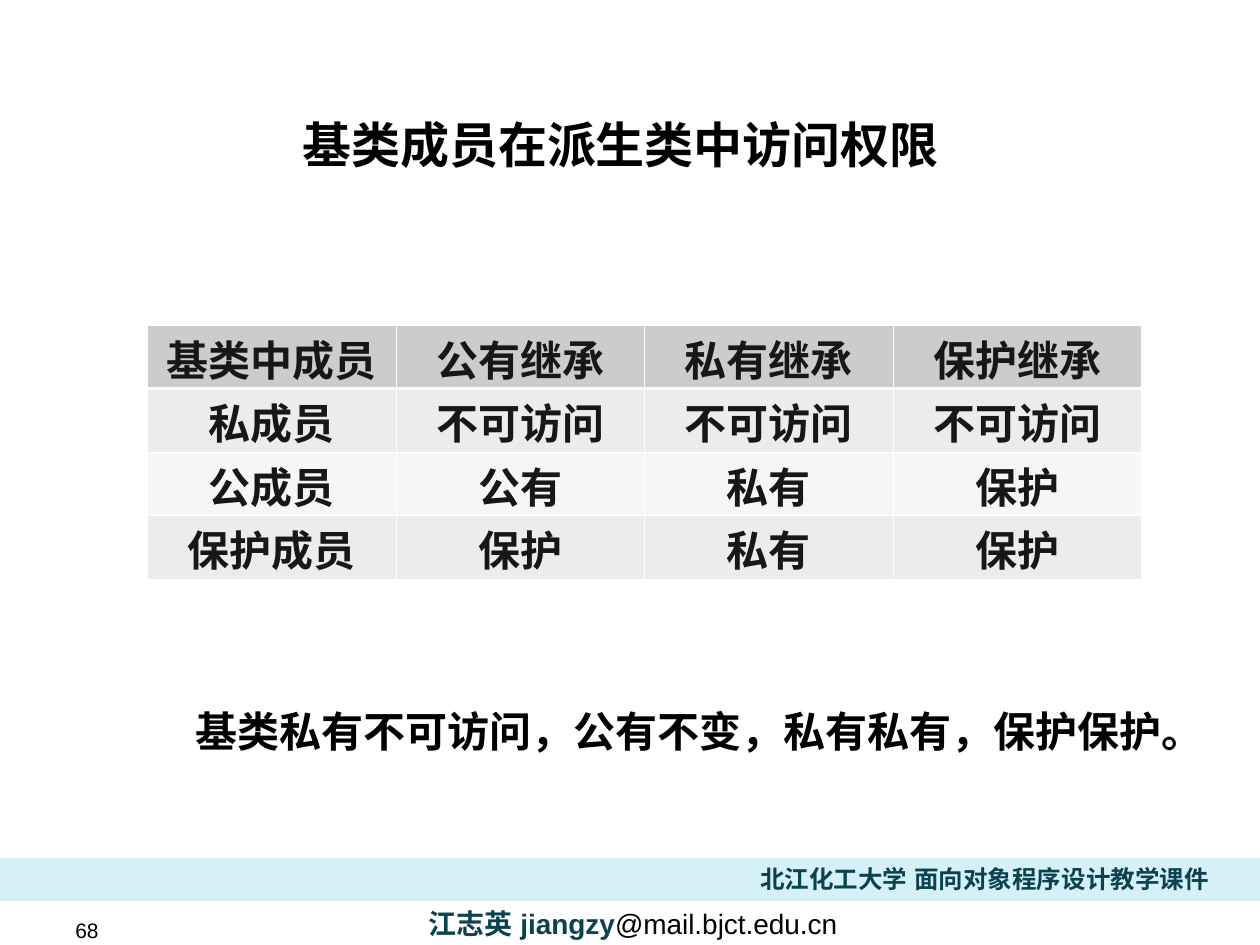
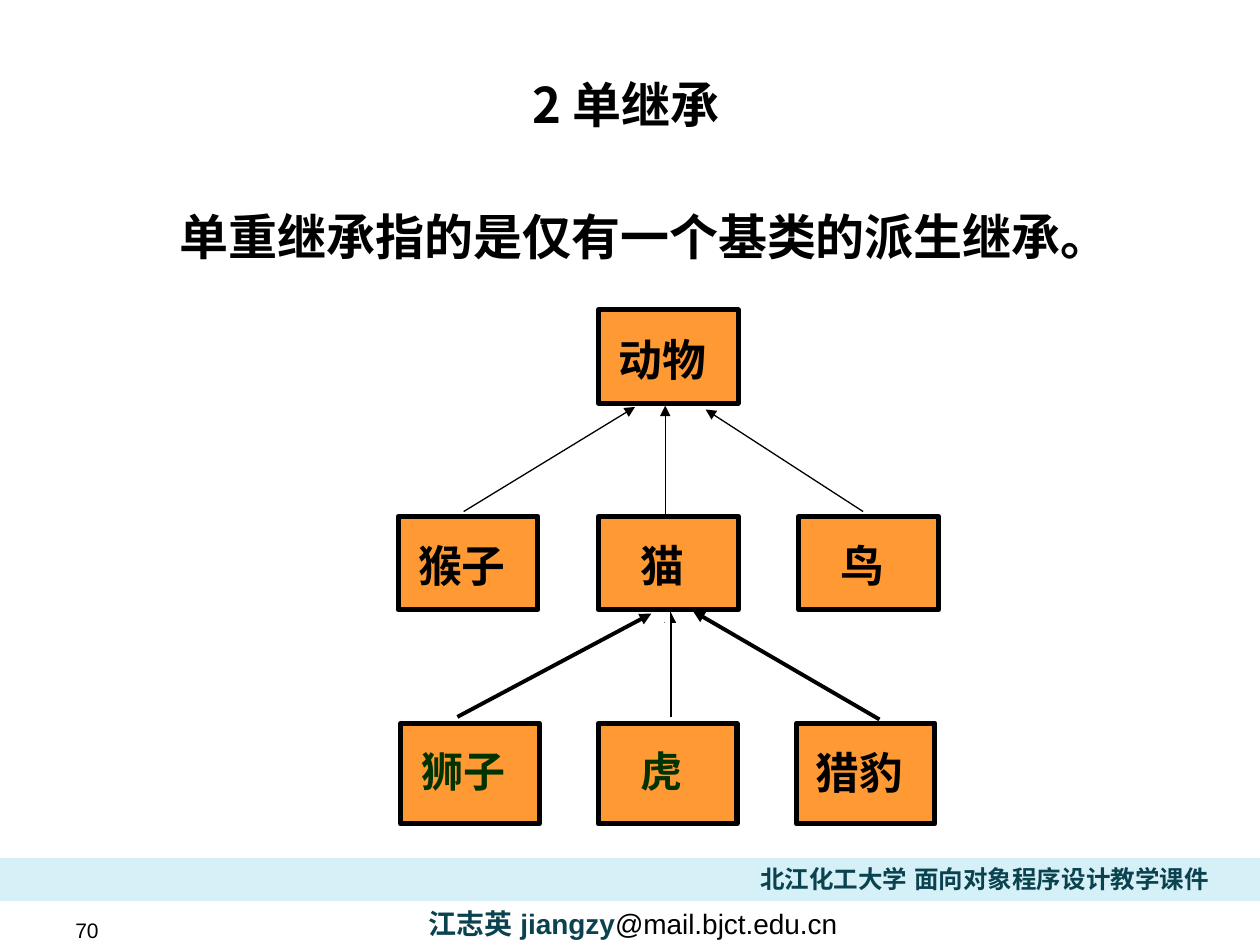
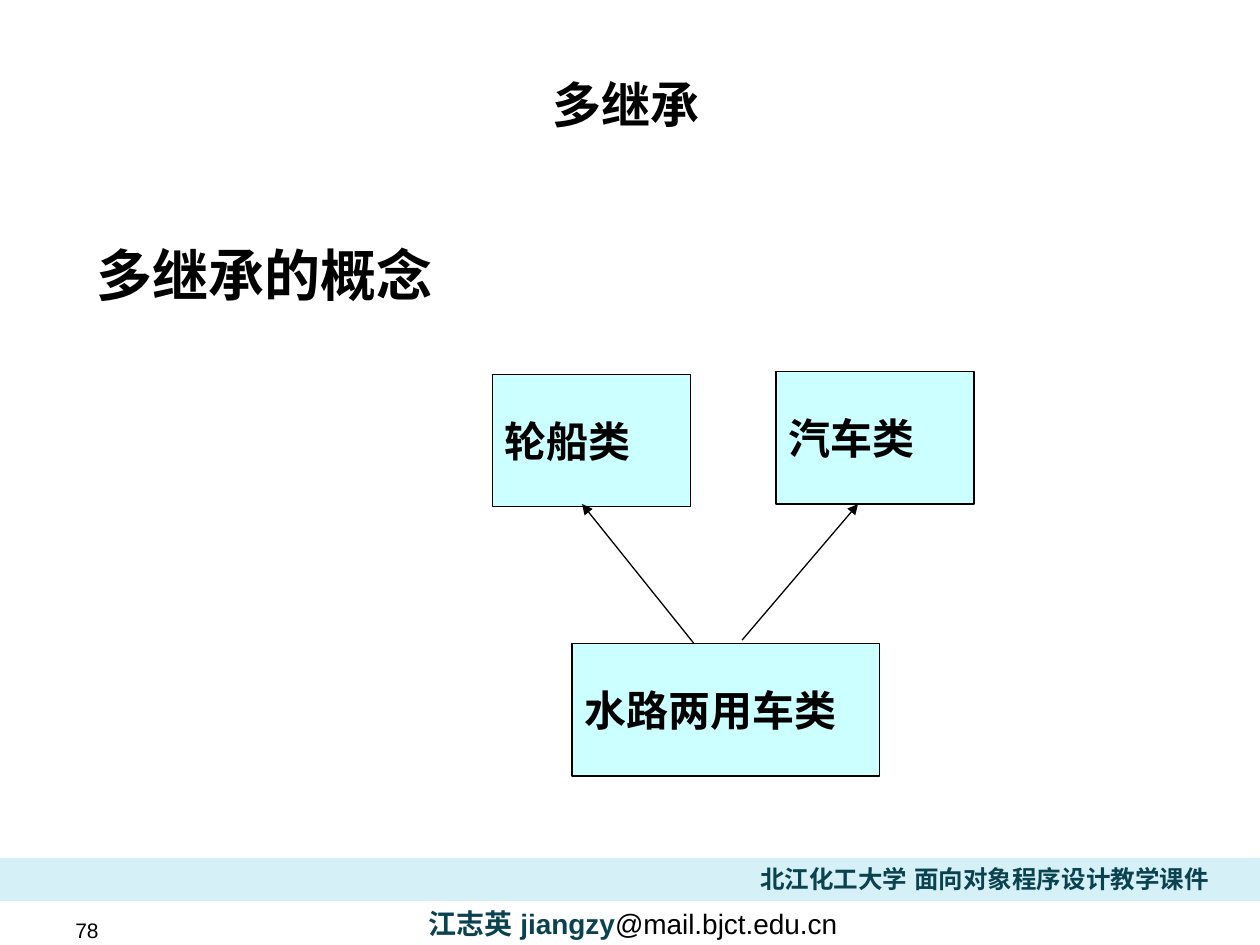
from dataclasses import dataclass

from lxml.etree import SubElement
from pptx import Presentation
from pptx.dml.color import RGBColor
from pptx.enum.shapes import MSO_CONNECTOR, MSO_SHAPE
from pptx.enum.text import MSO_ANCHOR, MSO_AUTO_SIZE, PP_ALIGN
from pptx.oxml.ns import qn
from pptx.util import Inches, Pt

COLORS = {
    "black": "000000", "white": "FFFFFF", "teal": "0A424F",
    "band": "D5F0F7", "orange": "FF9933", "green": "003300",
    "cyan": "CCFFFF", "ink": "171717",
    "head": "CCCCCC", "odd": "ECECEC", "even": "F6F6F6",
}
HAN = "Noto Sans CJK SC"
LATIN = "Arial"


@dataclass(frozen=True)
class Box:
    left: float
    top: float
    width: float
    height: float

    def lengths(self) -> list:
        return [Inches(n) for n in (self.left, self.top, self.width, self.height)]


@dataclass(frozen=True)
class Run:
    text: str
    size: float
    color: str = "black"
    font: str = HAN
    bold: bool = True


@dataclass(frozen=True)
class Node:
    """A filled box with its label; insets run left, top, right, bottom."""
    run: Run
    box: Box
    fill: str
    line: float
    align: PP_ALIGN = PP_ALIGN.LEFT
    anchor: MSO_ANCHOR = MSO_ANCHOR.MIDDLE
    insets: tuple = (0.1, 0.05, 0.1, 0.05)


@dataclass(frozen=True)
class Line:
    start: tuple
    end: tuple
    width: float = 0.75
    color: str = "black"
    arrow: bool = True


def rgb(name: str) -> RGBColor:
    return RGBColor.from_string(COLORS[name])


def write(frame, runs: list, align=PP_ALIGN.LEFT, anchor=MSO_ANCHOR.TOP,
          insets=(0.1, 0.05, 0.1, 0.05)) -> None:
    frame.word_wrap = True
    frame.auto_size = MSO_AUTO_SIZE.NONE
    frame.vertical_anchor = anchor
    frame.margin_left, frame.margin_top, frame.margin_right, frame.margin_bottom = (
        Inches(n) for n in insets)
    fill_text(frame.paragraphs[0], runs, align)


def fill_text(para, runs: list, align) -> None:
    para.alignment = align
    for item in runs:
        run = para.add_run()
        run.text = item.text
        font = run.font
        font.size, font.bold, font.name = Pt(item.size), item.bold, item.font
        font.color.rgb = rgb(item.color)
        SubElement(font._element, qn("a:ea"), typeface=item.font)


def add_text(slide, box: Box, runs: list, **style) -> None:
    write(slide.shapes.add_textbox(*box.lengths()).text_frame, runs, **style)


def add_rect(slide, box: Box, fill: str, line: float = 0):
    shape = slide.shapes.add_shape(MSO_SHAPE.RECTANGLE, *box.lengths())
    shape.shadow.inherit = False
    shape.fill.solid()
    shape.fill.fore_color.rgb = rgb(fill)
    if line:
        shape.line.color.rgb = rgb("black")
        shape.line.width = Pt(line)
    else:
        shape.line.fill.background()
    return shape


def add_node(slide, node: Node) -> None:
    shape = add_rect(slide, node.box, node.fill, node.line)
    write(shape.text_frame, [node.run], node.align, node.anchor, node.insets)


def add_line(slide, line: Line) -> None:
    ends = [Inches(n) for n in (*line.start, *line.end)]
    link = slide.shapes.add_connector(MSO_CONNECTOR.STRAIGHT, *ends)
    link.line.color.rgb = rgb(line.color)
    link.line.width = Pt(line.width)
    if line.arrow:
        SubElement(link.line._get_or_add_ln(), qn("a:tailEnd"), type="triangle")
    SubElement(link._element.spPr, qn("a:effectLst"))


def set_edges(cell, top: float, bottom: float) -> None:
    """Draw white borders, which must come before the fill in the cell."""
    props = cell._tc.get_or_add_tcPr()
    widths = {"L": 0.45, "R": 0.45, "T": top, "B": bottom}
    for place, (side, width) in enumerate(widths.items()):
        edge = SubElement(props, qn(f"a:ln{side}"), w=str(Pt(width)))
        fill = SubElement(edge, qn("a:solidFill"))
        SubElement(fill, qn("a:srgbClr"), val=COLORS["white"])
        props.insert(place, edge)


def add_grid(slide, box: Box, rows: list) -> None:
    table = slide.shapes.add_table(len(rows), len(rows[0]), *box.lengths()).table
    table.first_row = table.horz_banding = False
    for r, row in enumerate(rows):
        shade = "head" if r == 0 else "odd" if r % 2 else "even"
        for c, text in enumerate(row):
            cell = table.cell(r, c)
            cell.fill.solid()
            cell.fill.fore_color.rgb = rgb(shade)
            cell.vertical_anchor = MSO_ANCHOR.MIDDLE
            cell.margin_top, cell.margin_bottom = Inches(0.02), 0
            fill_text(cell.text_frame.paragraphs[0], [Run(text, 24, "ink")],
                      PP_ALIGN.CENTER)
            set_edges(cell, 1.47 if r == 1 else 0.45, 1.47 if r == 0 else 0.45)


def add_page(deck, title: str, number: int, box=Box(0.97, 0.58, 8, 0.96),
             align=PP_ALIGN.CENTER, insets=(0.01,) * 4):
    """Add a slide with its title, band and footers."""
    slide = deck.slides.add_slide(deck.slide_layouts[5])
    head = slide.shapes.title
    head.left, head.top, head.width, head.height = box.lengths()
    write(head.text_frame, [Run(title, 28)], align, insets=insets)

    add_text(slide, Box(2.76, 7.22, 4.53, 0.21),
             [Run("江志英 jiangzy", 16, "teal", LATIN),
              Run("@mail.bjct.edu.cn", 16, "black", LATIN, False)],
             align=PP_ALIGN.CENTER, anchor=MSO_ANCHOR.MIDDLE)
    add_rect(slide, Box(0, 6.81, 10, 0.34), "band")
    add_text(slide, Box(0.5, 7.28, 1.06, 0.2),
             [Run(str(number), 12, "black", LATIN, False)], anchor=MSO_ANCHOR.MIDDLE)
    add_text(slide, Box(5.81, 6.81, 4.01, 0.34),
             [Run("北江化工大学 面向对象程序设计教学课件", 14, "teal", LATIN)],
             align=PP_ALIGN.CENTER)
    return slide


def add_access(deck) -> None:
    slide = add_page(deck, "基类成员在派生类中访问权限", 68, Box(1.77, 0.86, 6.25, 0.57),
                     PP_ALIGN.LEFT, (0.63, 0.05, 0.1, 0.05))
    add_text(slide, Box(1.45, 5.55, 8.36, 0.5),
             [Run("基类私有不可访问，公有不变，私有私有，保护保护。", 24)])
    add_grid(slide, Box(1.17, 2.58, 7.89, 2), [
        ["基类中成员", "公有继承", "私有继承", "保护继承"],
        ["私成员", "不可访问", "不可访问", "不可访问"],
        ["公成员", "公有", "私有", "保护"],
        ["保护成员", "保护", "私有", "保护"],
    ])


def add_single(deck) -> None:
    slide = add_page(deck, "2 单继承", 70)
    add_text(slide, Box(1.33, 1.59, 7.8, 0.57),
             [Run("单重继承指的是仅有一个基类的派生继承。", 28)])
    for line in (
        Line((3.68, 4.06), (5.04, 3.23)),
        Line((6.85, 4.06), (5.6, 3.25)),
        Line((5.28, 4.09), (5.28, 3.22)),
        Line((5.32, 5.69), (5.32, 4.85), 2.25),
        Line((3.63, 5.69), (5.17, 4.87), 2.25),
        Line((6.98, 5.71), (5.5, 4.85), 2.25),
        Line((5.3, 4.84), (5.3, 5.74), 2.86, "white", False),
    ):
        add_line(slide, line)

    mid, top, drop = 4.75, 2.46, 1.64
    upper, lower = (1.59, 1.11, 0.74), (1.57, 1.1, 0.8)
    for text, col, row, (step, width, height), size, color in (
        ("动物", 0, 0, upper, 25, "black"),
        ("猴子", -1, 1, upper, 25, "black"),
        ("猫", 0, 1, upper, 25, "black"),
        ("鸟", 1, 1, upper, 25, "black"),
        ("狮子", -1, 2, lower, 24, "green"),
        ("虎", 0, 2, lower, 24, "green"),
        ("猎豹", 1, 2, lower, 25, "black"),
    ):
        box = Box(mid + col * step, top + row * drop, width, height)
        add_node(slide, Node(Run(text, size, color), box, "orange", 2.86,
                             PP_ALIGN.CENTER, MSO_ANCHOR.TOP, (0, 0.18, 0.1, 0)))


def add_multi(deck) -> None:
    slide = add_page(deck, "多继承", 78)
    add_text(slide, Box(0.67, 1.86, 3, 0.64), [Run("多继承的概念", 32)])
    for text, left, top, width in (
        ("轮船类", 3.91, 2.97, 1.57),
        ("水路两用车类", 4.54, 5.11, 2.44),
        ("汽车类", 6.16, 2.95, 1.57),
    ):
        add_node(slide, Node(Run(text, 24), Box(left, top, width, 1.05), "cyan", 0.75))
    add_line(slide, Line((5.89, 5.08), (6.81, 4)))
    add_line(slide, Line((5.51, 5.11), (4.62, 4)))


def main() -> None:
    deck = Presentation()
    deck.slide_width, deck.slide_height = Inches(10), Inches(7.5)
    add_access(deck)
    add_single(deck)
    add_multi(deck)
    deck.save("out.pptx")


if __name__ == "__main__":
    main()
